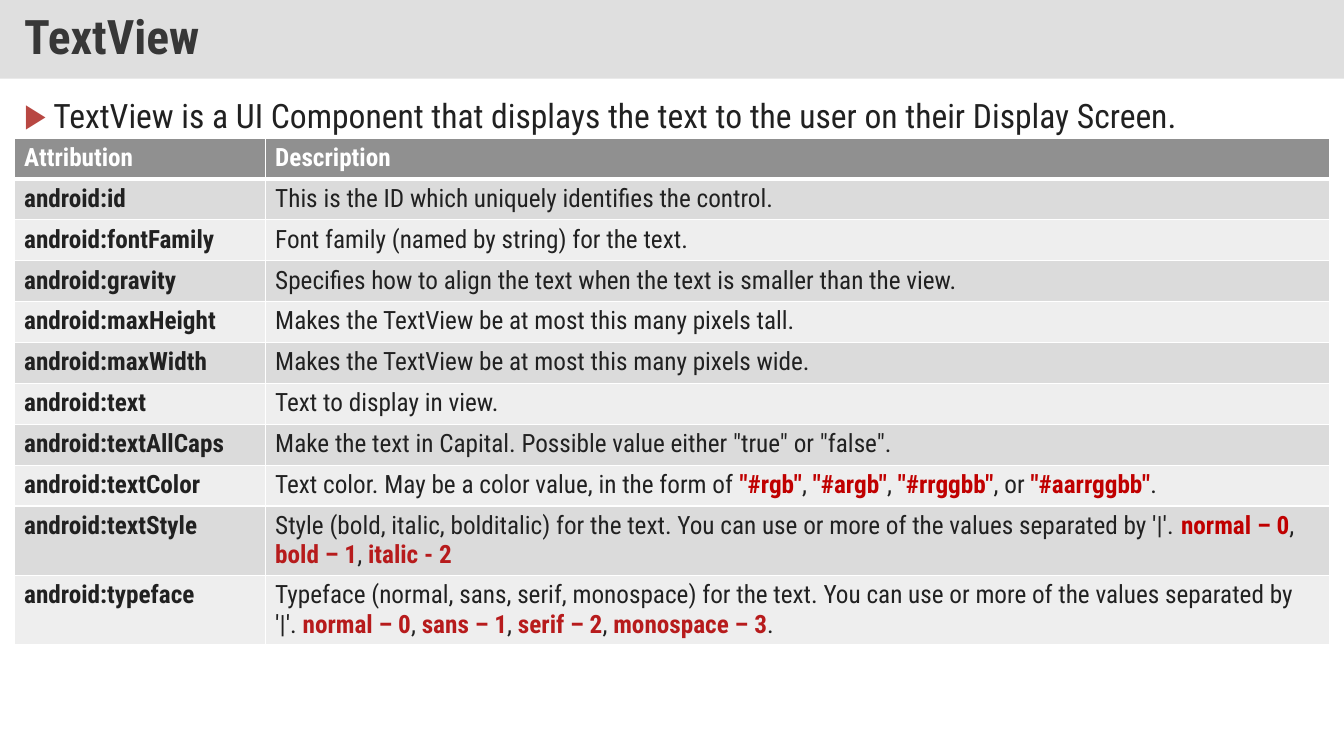
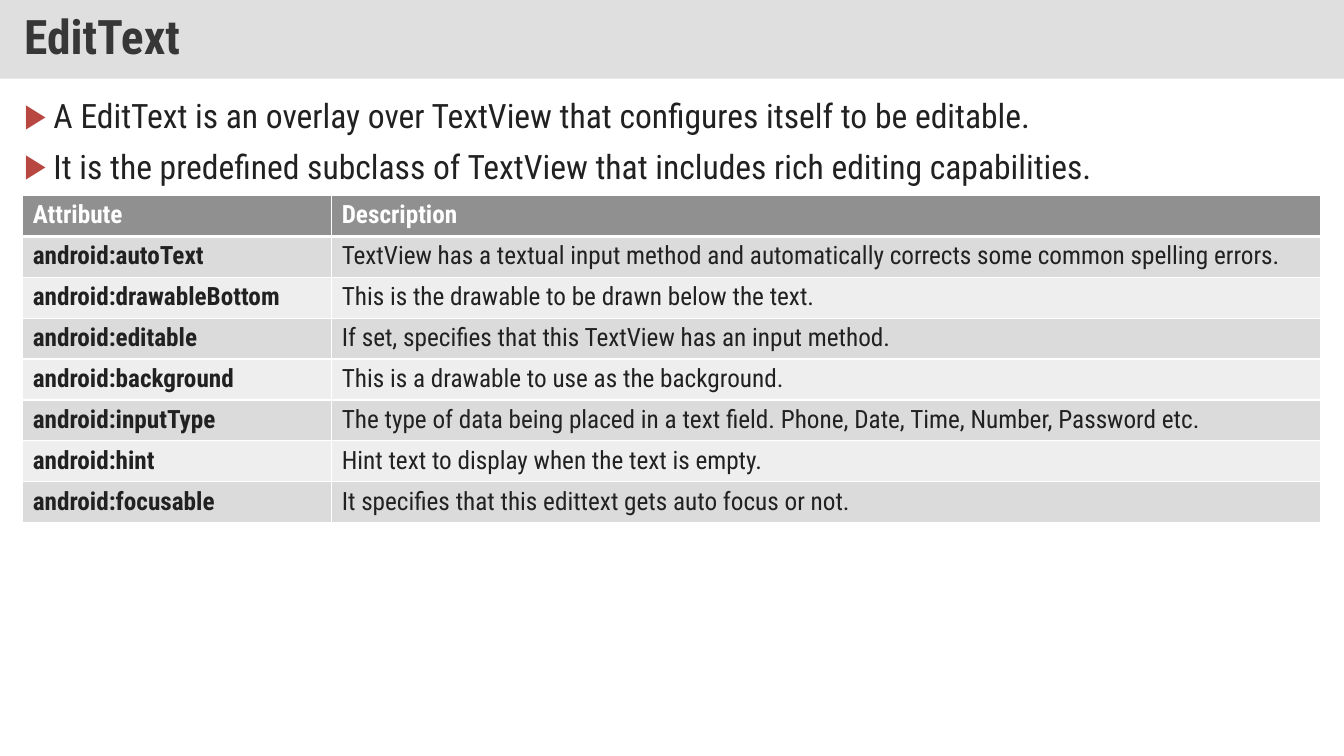
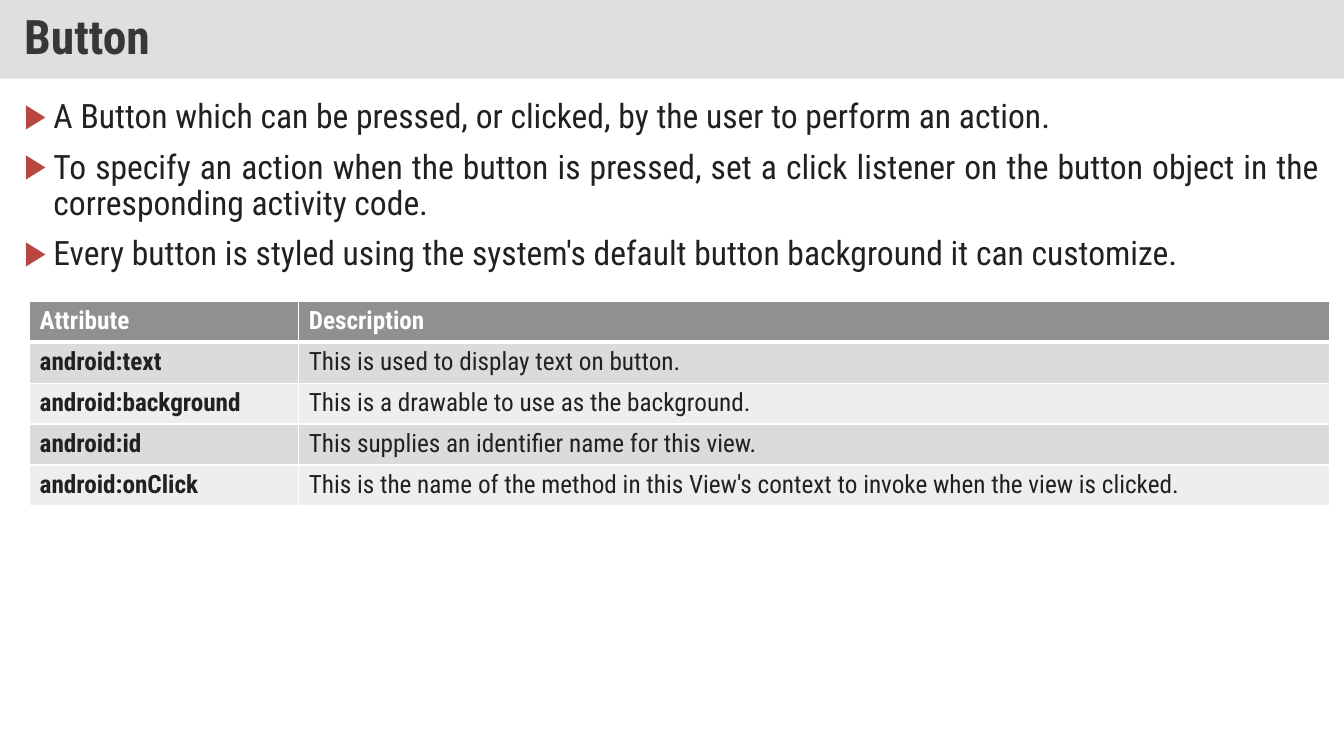
import pptx
import pptx.util
import pptx.oxml
import pptx.oxml.ns
import pptx.dml.color
import pptx.enum.text
from dataclasses import dataclass

Pt = pptx.util.Pt
Inches = pptx.util.Inches
qn = pptx.oxml.ns.qn
Align = pptx.enum.text.PP_ALIGN
Anchor = pptx.enum.text.MSO_ANCHOR


@dataclass(frozen=True)
class Theme:
    font: str = "Roboto Condensed"
    wide: float = 13.33
    high: float = 7.5
    # Type sizes and table lines, in points
    head: int = 34
    body: int = 24
    cell: int = 18
    row: float = 29.2
    thin: int = 1
    thick: int = 3
    # Colours
    band: str = "C0C0C0"
    title: str = "373737"
    ink: str = "212121"
    mark: str = "B84742"
    red: str = "C00000"
    brick: str = "B71B1C"
    white: str = "FFFFFF"
    bar: str = "909090"
    odd: str = "DBDBDB"
    even: str = "EEEEEE"


T = Theme()
RGB = pptx.dml.color.RGBColor.from_string

# Boxes are left, top, width, height in percent of the slide
BAND = (0, 0, 100, 10.4)
BODY = (1.05, 12.53, 97.9, 81.47)


def scale(box):
    """Turn a box in percent into slide lengths."""
    sides = (T.wide, T.high) * 2
    return [Inches(part * side / 100) for part, side in zip(box, sides)]


def place(shape, box):
    shape.left, shape.top, shape.width, shape.height = scale(box)


def node(parent, tag, **attrs):
    """Append one drawing element to its parent."""
    item = pptx.oxml.parse_xml(
        f'<a:{tag} xmlns:a="http://schemas.openxmlformats.org/drawingml/2006/main"/>')
    for key, value in attrs.items():
        item.set(key, str(value))
    parent.append(item)
    return item


def write(para, text, size=T.cell, color=T.ink, bold=False,
          align=Align.LEFT, lead=None, before=0):
    """Add a run to a paragraph and set the format of both."""
    para.alignment = align
    para.space_before = Pt(before)
    if lead:
        para.line_spacing = lead
    run = para.add_run()
    run.text = text
    font = run.font
    font.name, font.size, font.bold = T.font, Pt(size), bold
    font.color.rgb = RGB(color)


def band(shape, text, box):
    """Title on a half-transparent band."""
    place(shape, box)
    shape.fill.solid()
    shape.fill.fore_color.rgb = RGB(T.band)
    tint = shape.fill._xPr.find(qn("a:solidFill"))[0]
    node(tint, "alpha", val=50000)
    frame = shape.text_frame
    frame.auto_size = pptx.enum.text.MSO_AUTO_SIZE.NONE
    frame.vertical_anchor = Anchor.MIDDLE
    frame.margin_left = frame.margin_right = Inches(0.24)
    frame.margin_top = frame.margin_bottom = Inches(0.12)
    write(frame.paragraphs[0], text, size=T.head, color=T.title,
          bold=True, lead=0.9)


def points(shape, lines, box):
    """Justified list with triangle bullets."""
    place(shape, box)
    frame = shape.text_frame
    frame.auto_size = pptx.enum.text.MSO_AUTO_SIZE.NONE
    frame.vertical_anchor = Anchor.TOP
    for i, line in enumerate(lines):
        para = frame.add_paragraph() if i else frame.paragraphs[0]
        write(para, line, size=T.body, align=Align.JUSTIFY, lead=0.9, before=10)
        props = para._p.get_or_add_pPr()
        props.set("marL", str(Inches(0.29)))
        props.set("indent", str(-Inches(0.29)))
        node(node(props, "buClr"), "srgbClr", val=T.mark)
        node(props, "buFont", typeface=T.font)
        node(props, "buChar", char="▶")


def paint(cell, fill, top, base):
    """Cell borders, then the cell fill."""
    props = cell._tc.get_or_add_tcPr()
    for tag, size in (("lnL", T.thin), ("lnR", T.thin), ("lnT", top), ("lnB", base)):
        line = node(props, tag, w=Pt(size))
        node(node(line, "solidFill"), "srgbClr", val=T.white)
    cell.fill.solid()
    cell.fill.fore_color.rgb = RGB(fill)


def grid(slide, heads, rows, box, split):
    """Two-column table; split is the first column's percent of the width."""
    left, top, width, _ = scale((*box, 0))
    data = [heads] + rows
    table = slide.shapes.add_table(
        len(data), 2, left, top, width, Pt(T.row * len(data))).table
    first = int(width * split / 100)
    table.columns[0].width = first
    table.columns[1].width = width - first
    for r, pair in enumerate(data):
        table.rows[r].height = Pt(T.row)
        fill = T.bar if r == 0 else T.odd if r % 2 else T.even
        for c, value in enumerate(pair):
            cell = table.cell(r, c)
            paint(cell, fill, T.thick if r == 1 else T.thin,
                  T.thick if r == 0 else T.thin)
            para = cell.text_frame.paragraphs[0]
            # A list mixes plain strings with (text, colour) highlights
            for part in value if isinstance(value, list) else [value]:
                if isinstance(part, tuple):
                    write(para, part[0], color=part[1], bold=True)
                else:
                    write(para, part, color=T.ink if r else T.white,
                          bold=r == 0 or c == 0)


def page(deck, title, lines, heads, rows, box, split):
    """One slide: band, list and table."""
    slide = deck.slides.add_slide(deck.slide_layouts[1])
    band(slide.shapes.title, title, BAND)
    points(slide.placeholders[1], lines, BODY)
    grid(slide, heads, rows, box, split)


PAGES = [
    dict(
        title="TextView",
        lines=["TextView is a UI Component that displays the text to the user on their Display Screen."],
        heads=("Attribution", "Description"),
        box=(1.05, 18.27, 97.9), split=19.08,
        rows=[
            ("android:id", "This is the ID which uniquely identifies the control."),
            ("android:fontFamily", "Font family (named by string) for the text."),
            ("android:gravity", "Specifies how to align the text when the text is smaller than the view."),
            ("android:maxHeight", "Makes the TextView be at most this many pixels tall."),
            ("android:maxWidth", "Makes the TextView be at most this many pixels wide."),
            ("android:text", "Text to display in view."),
            ("android:textAllCaps", 'Make the text in Capital. Possible value either "true" or "false".'),
            ("android:textColor", [
                "Text color. May be a color value, in the form of ",
                ('"#rgb"', T.red), ", ", ('"#argb"', T.red), ", ",
                ('"#rrggbb"', T.red), ", or ", ('"#aarrggbb"', T.red), "."]),
            ("android:textStyle", [
                "Style (bold, italic, bolditalic) for the text. You can use or more of the values separated by '|'. ",
                ("normal – 0", T.red), ", ", ("bold – 1", T.brick), ", ",
                ("italic - 2", T.brick)]),
            ("android:typeface", [
                "Typeface (normal, sans, serif, monospace) for the text. You can use or more of the values separated by '|'. ",
                ("normal – 0", T.brick), ", ", ("sans – 1", T.brick), ", ",
                ("serif – 2", T.brick), ", ", ("monospace – 3", T.brick), "."]),
        ]),
    dict(
        title="EditText",
        lines=["A EditText is an overlay over TextView that configures itself to be editable.",
               "It is the predefined subclass of TextView that includes rich editing capabilities."],
        heads=("Attribute", "Description"),
        box=(1.69, 25.87, 96.6), split=23.8,
        rows=[
            ("android:autoText", "TextView has a textual input method and automatically corrects some common spelling errors."),
            ("android:drawableBottom", "This is the drawable to be drawn below the text."),
            ("android:editable", "If set, specifies that this TextView has an input method."),
            ("android:background", "This is a drawable to use as the background."),
            ("android:inputType", "The type of data being placed in a text field. Phone, Date, Time, Number, Password etc."),
            ("android:hint", "Hint text to display when the text is empty."),
            ("android:focusable", "It specifies that this edittext gets auto focus or not."),
        ]),
    dict(
        title="Button",
        lines=["A Button which can be pressed, or clicked, by the user to perform an action.",
               "To specify an action when the button is pressed, set a click listener on the button object in the corresponding activity code.",
               "Every button is styled using the system's default button background it can customize."],
        heads=("Attribute", "Description"),
        box=(2.2, 39.87, 96.75), split=20.7,
        rows=[
            ("android:text", "This is used to display text on button."),
            ("android:background", "This is a drawable to use as the background."),
            ("android:id", "This supplies an identifier name for this view."),
            ("android:onClick", "This is the name of the method in this View's context to invoke when the view is clicked."),
        ]),
]


def main():
    deck = pptx.Presentation()
    deck.slide_width, deck.slide_height = Inches(T.wide), Inches(T.high)
    for item in PAGES:
        page(deck, **item)
    deck.save("out.pptx")


if __name__ == "__main__":
    main()
